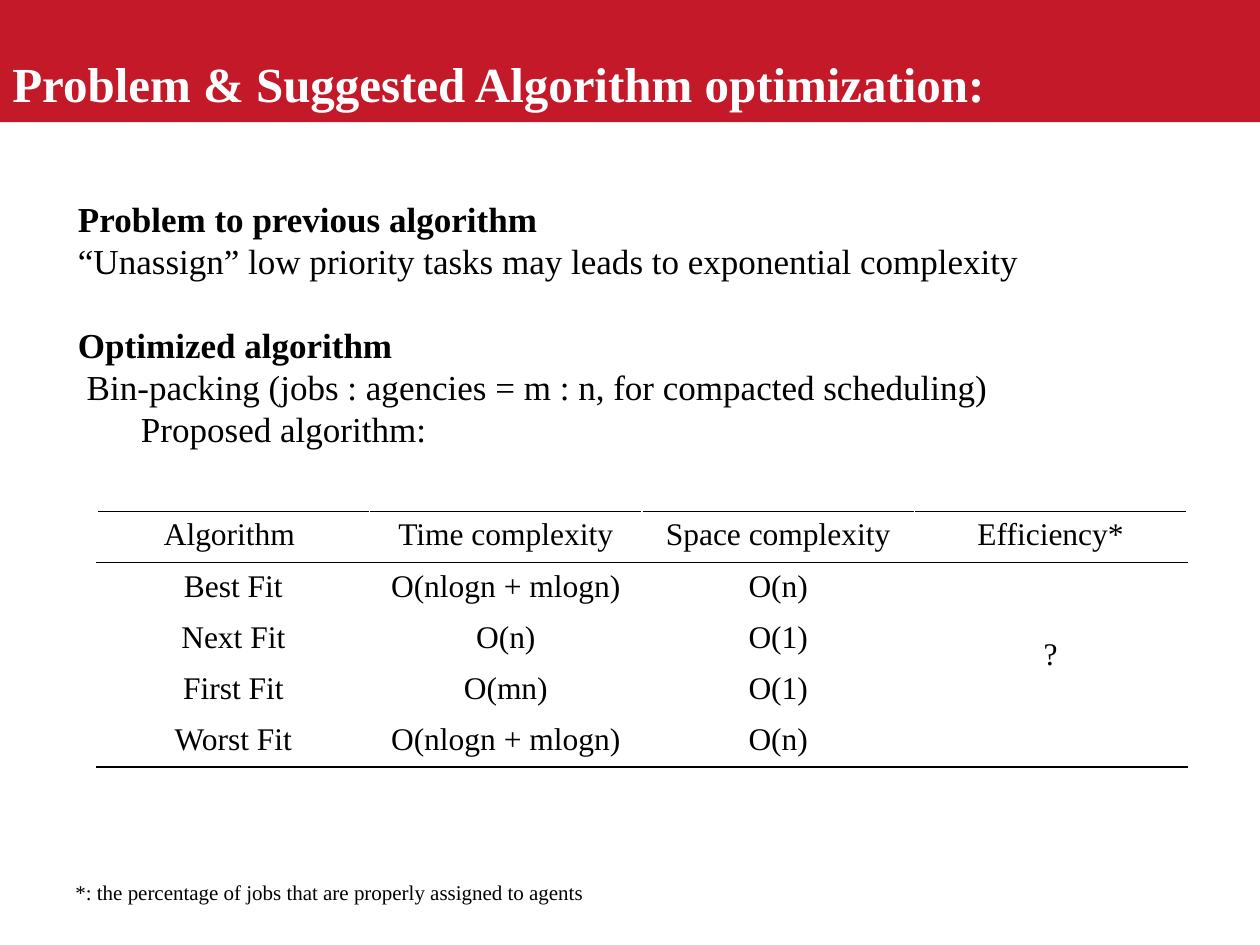
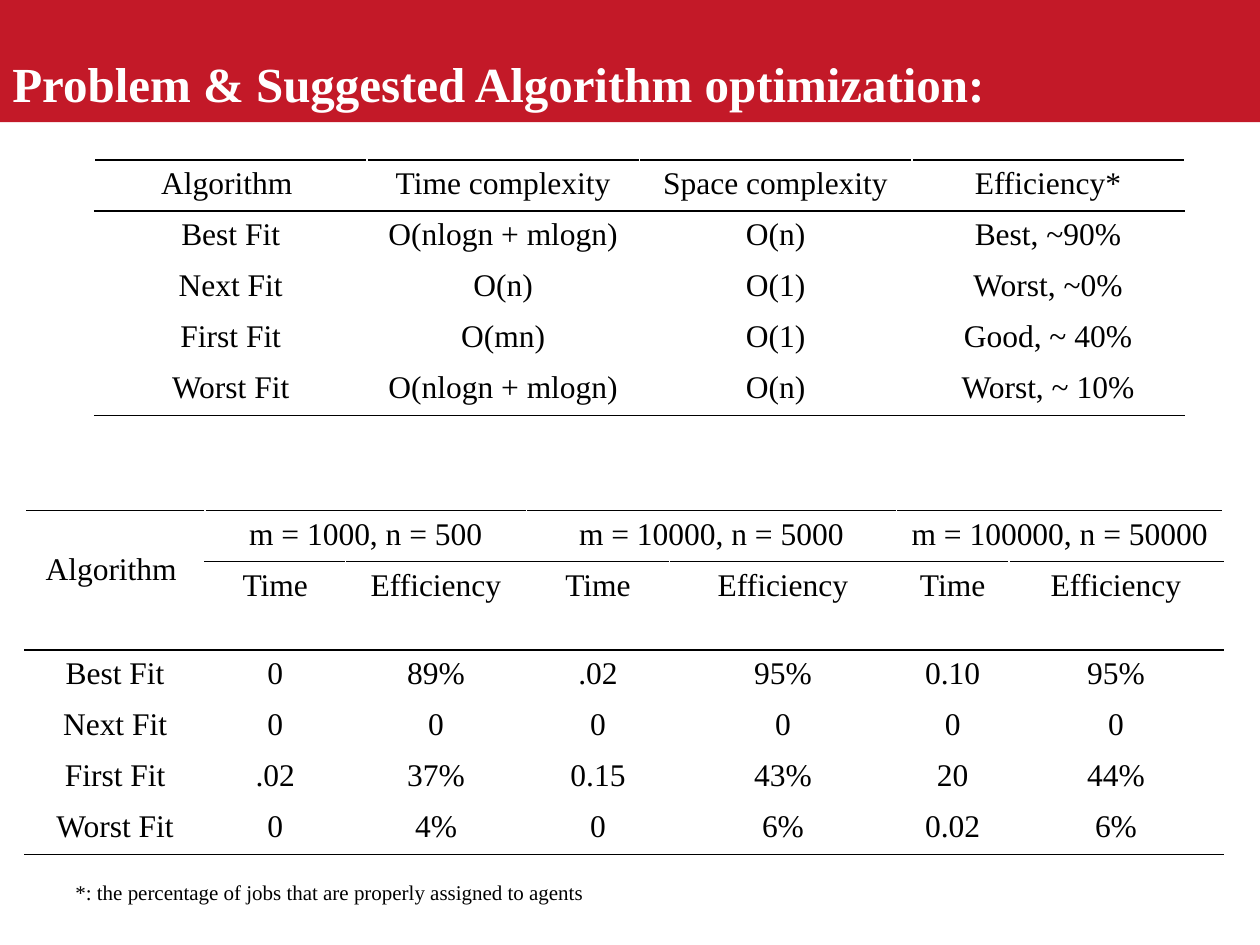
from lxml import etree
from pptx import Presentation
from pptx.dml.color import RGBColor
from pptx.enum.shapes import MSO_SHAPE
from pptx.enum.text import MSO_AUTO_SIZE, PP_ALIGN
from pptx.oxml.ns import qn
from pptx.util import Pt

RECTANGLE = MSO_SHAPE.RECTANGLE
CENTER = PP_ALIGN.CENTER
FIT_SHAPE = MSO_AUTO_SIZE.SHAPE_TO_FIT_TEXT

COLORS = {"band": "C31928", "paper": "FFFFFF", "ink": "000000"}
FONT = "Times New Roman"
PAGE_WIDTH, PAGE_HEIGHT = 720, 540
CELL_INSET = 3.6
INDENT = 36

TITLE = "Problem & Suggested Algorithm optimization:"
FOOTNOTE = "*: the percentage of jobs that are properly assigned to agents"

# Text, bold, indented, space before
PROBLEM_LINES = [
    ("Problem to previous algorithm", True, False, 0),
    ("“Unassign” low priority tasks may leads to exponential complexity", False, False, 0),
    ("Optimized algorithm", True, False, 24),
    (" Bin-packing (jobs : agencies = m : n, for compacted scheduling)", False, False, 0),
    ("Proposed algorithm:", False, True, 0),
]

COMPLEXITY_HEADER = ["Algorithm ", "Time complexity", "Space complexity", "Efficiency*"]
COMPLEXITY = [
    ["Best Fit", "O(nlogn + mlogn)", "O(n)"],
    ["Next Fit", "O(n)", "O(1)"],
    ["First Fit", "O(mn)", "O(1)"],
    ["Worst Fit", "O(nlogn + mlogn)", "O(n)"],
]
UNKNOWN_EFFICIENCY = ["?", "", "", ""]
MEASURED_EFFICIENCY = ["Best, ~90%", "Worst, ~0%", "Good, ~ 40%", "Worst, ~ 10%"]

TIMINGS = [
    ["Algorithm ", "m = 1000, n = 500", "", "m = 10000, n = 5000", "",
     "m = 100000, n = 50000", ""],
    [""] + ["Time", "Efficiency"] * 3,
    ["Best Fit", "0", "89%", ".02", "95%", "0.10", "95%"],
    ["Next Fit", "0", "0", "0", "0", "0", "0"],
    ["First Fit", ".02", "37%", "0.15", "43%", "20", "44%"],
    ["Worst Fit", "0", "4%", "0", "6%", "0.02", "6%"],
]


def color(name):
    return RGBColor.from_string(COLORS[name])


def format_para(para, size, ink="ink", bold=False):
    for span in para.runs:
        span.font.name = FONT
        span.font.size = Pt(size)
        span.font.bold = bold
        span.font.color.rgb = color(ink)


def indent_para(para):
    para.level = 1
    properties = para._p.get_or_add_pPr()
    properties.set("marL", str(Pt(INDENT)))
    properties.set("indent", "0")


def add_text_frame(page, left, top, width, height, wrap):
    box = page.shapes.add_textbox(Pt(left), Pt(top), Pt(width), Pt(height))
    frame = box.text_frame
    frame.word_wrap = wrap
    frame.auto_size = FIT_SHAPE
    return frame


def add_title_band(page, height=69.84):
    band = page.shapes.add_shape(RECTANGLE, 0, 0, Pt(PAGE_WIDTH), Pt(height))
    band.shadow.inherit = False
    band.fill.solid()
    band.fill.fore_color.rgb = color("band")
    band.line.fill.background()
    frame = add_text_frame(page, 0, 10, 576.7, 58.3, wrap=False)
    frame.text = TITLE
    para = frame.paragraphs[0]
    para.line_spacing = 1.5
    format_para(para, 28, "paper", bold=True)


def add_footnote(page):
    frame = add_text_frame(page, 0, 499, 344.9, 21.6, wrap=False)
    frame.text = FOOTNOTE
    indent_para(frame.paragraphs[0])
    format_para(frame.paragraphs[0], 12)


def add_problem_text(page, left, top, width, height):
    frame = add_text_frame(page, left, top, width, height, wrap=True)
    for index, (text, bold, indented, gap) in enumerate(PROBLEM_LINES):
        para = frame.add_paragraph() if index else frame.paragraphs[0]
        para.text = text
        para.space_before = Pt(gap)
        if indented:
            indent_para(para)
        format_para(para, 20, bold=bold)


def set_borders(cell, top, bottom):
    properties = cell._tc.get_or_add_tcPr()
    sides = {"a:lnL": "paper", "a:lnR": "paper", "a:lnT": top, "a:lnB": bottom}
    for tag, name in sides.items():
        line = etree.SubElement(properties, qn(tag), w=str(Pt(1)))
        fill = etree.SubElement(line, qn("a:solidFill"))
        etree.SubElement(fill, qn("a:srgbClr"), val=COLORS[name])


def add_ruled_table(page, left, top, widths, heights, rows, header_rows=1,
                    merges=(), lowered=None):
    """Rule the header rows and the foot; lowered maps a cell to its extra top inset."""
    table = page.shapes.add_table(len(rows), len(widths), Pt(left), Pt(top),
                                  Pt(sum(widths)), Pt(sum(heights))).table
    table.first_row = table.horz_banding = False
    for column, width in zip(table.columns, widths):
        column.width = Pt(width)
    for row, height in zip(table.rows, heights):
        row.height = Pt(height)
    for first, last in merges:
        table.cell(*first).merge(table.cell(*last))

    for r, texts in enumerate(rows):
        for c, text in enumerate(texts):
            cell = table.cell(r, c)
            if not cell.is_spanned:
                end = r + cell.span_height
                ruled_below = end <= header_rows or end == len(rows)
                set_borders(cell, "ink" if r <= header_rows else "paper",
                            "ink" if ruled_below else "paper")
                cell.margin_top = Pt(CELL_INSET + (lowered or {}).get((r, c), 0))
                cell.text = text
                para = cell.text_frame.paragraphs[0]
                para.alignment = CENTER
                format_para(para, 18)
            cell.fill.background()


def add_complexity_table(page, left, top, efficiency, **options):
    rows = [COMPLEXITY_HEADER]
    rows += [row + [value] for row, value in zip(COMPLEXITY, efficiency)]
    add_ruled_table(page, left, top, [155.7] * 4, [29.2] * 5, rows, **options)


def add_timing_table(page, left, top):
    merges = [((0, 0), (1, 0))] + [((0, c), (0, c + 1)) for c in (1, 3, 5)]
    add_ruled_table(page, left, top,
                    [102.8, 80.3, 103.4, 81.8, 129.6, 64.3, 122.4],
                    [29.2, 50.4] + [29.2] * 4, TIMINGS, header_rows=2,
                    merges=merges, lowered={(0, 0): 20})


def new_page(deck):
    page = deck.slides.add_slide(deck.slide_layouts[6])
    add_title_band(page)
    add_footnote(page)
    return page


def main():
    deck = Presentation()
    deck.slide_width, deck.slide_height = Pt(PAGE_WIDTH), Pt(PAGE_HEIGHT)

    problem = new_page(deck)
    add_problem_text(problem, 37.5, 109.5, 640, 152.6)
    add_complexity_table(problem, 55.5, 292.3, UNKNOWN_EFFICIENCY,
                         merges=[((1, 3), (4, 3))], lowered={(1, 3): 39})

    results = new_page(deck)
    add_complexity_table(results, 54, 91.4, MEASURED_EFFICIENCY)
    add_timing_table(results, 14.4, 291.8)

    deck.save("out.pptx")


if __name__ == "__main__":
    main()
